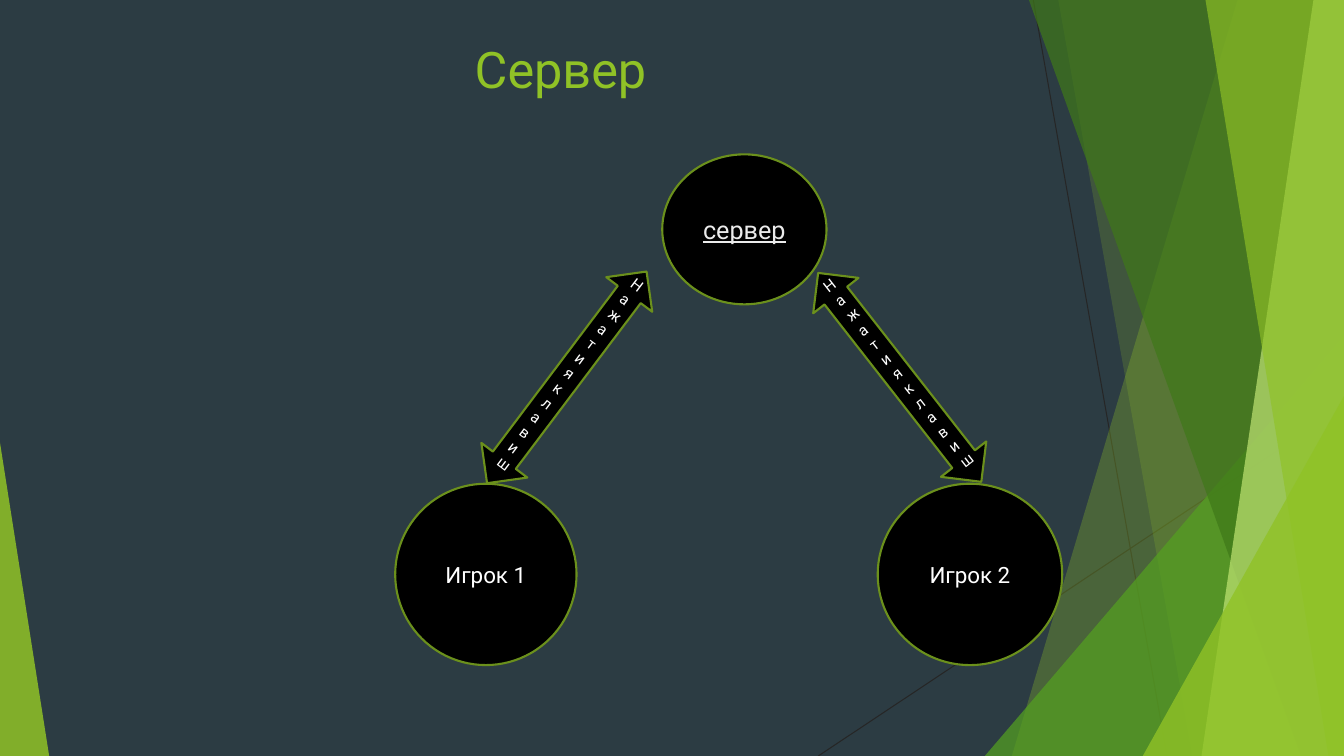
from dataclasses import dataclass
from lxml.etree import SubElement
from pptx import Presentation
from pptx.dml.color import RGBColor
from pptx.enum.shapes import MSO_CONNECTOR, MSO_SHAPE
from pptx.enum.text import MSO_ANCHOR, MSO_AUTO_SIZE, PP_ALIGN
from pptx.oxml.ns import qn
from pptx.util import Cm, Pt

W, H = 33.87, 19.05


@dataclass(frozen=True)
class Theme:
    font: str = "Roboto"
    back: str = "2C3C43"
    accent: str = "90C226"
    leaf: str = "54A021"
    forest: str = "3F7819"
    lime: str = "C0E474"
    edge: str = "6B901C"
    node: str = "000000"
    thread: str = "262626"
    text: str = "FFFFFF"
    soft: str = "EBEBEB"
    title_pt: int = 36
    server_pt: int = 18
    player_pt: int = 16
    arrow_pt: int = 11


T = Theme()

TITLE = ("Сервер", (11.71, 0.74, 4.9, 1.96))
THREADS = [((26.04, 0), (29.41, H)), ((W, 10.24), (20.62, H))]
BACK_BANDS = [(31.19, 25.5, T.accent, 30), (26.67, 30.05, T.accent, 20)]
FRONT_BANDS = [
    (25.93, 32.79, T.forest, 70),
    (33.1, 30.28, T.lime, 70),
    (30.38, 33.48, T.accent, 65),
]
BACK_WEDGE = (24.82, 8.46, W, 1, T.leaf, 72)
FRONT_WEDGES = [(28.8, 9.98, W, 1, T.accent, 80), (0, 11.15, 1.24, 0, T.accent, 85)]
CIRCLES = [
    ("сервер", (16.69, 3.89, 4.14, 3.78), T.server_pt, T.soft, True),
    ("Игрок 2", (22.12, 12.19, 4.65, 4.57), T.player_pt, T.text, False),
    ("Игрок 1", (9.96, 12.19, 4.57, 4.57), T.player_pt, T.text, False),
]
KEYS = "Нажатияклавиш"
ARROWS = [(21.95, 322), (13.56, 37)]
ARROW_TOP, ARROW_W, ARROW_H = 6.17, 1.45, 6.68


def rgb(color):
    return RGBColor.from_string(color)


def cms(values):
    return [Cm(v) for v in values]


def paint(sp, color, opacity=100):
    sp.shadow.inherit = False
    sp.fill.solid()
    sp.fill.fore_color.rgb = rgb(color)
    if opacity < 100:
        clr = sp.fill._xPr.find(qn("a:solidFill"))[0]
        SubElement(clr, qn("a:alpha"), val=str(opacity * 1000))


def write(sp, text, size, color, align=PP_ALIGN.CENTER, underline=None):
    tf = sp.text_frame
    tf.word_wrap = True
    tf.auto_size = MSO_AUTO_SIZE.NONE
    tf.vertical_anchor = MSO_ANCHOR.MIDDLE
    p = tf.paragraphs[0]
    p.text = text
    p.alignment = align
    p.font.name = T.font
    p.font.size = Pt(size)
    p.font.color.rgb = rgb(color)
    p.font.underline = underline
    return tf


def add_thread(s, start, end):
    line = s.shapes.add_connector(MSO_CONNECTOR.STRAIGHT, *cms(start + end))
    line.line.color.rgb = rgb(T.thread)
    line.line.width = Pt(0.75)
    SubElement(line._element.spPr, qn("a:effectLst"))


def add_band(s, top_x, bottom_x, color, opacity):
    fb = s.shapes.build_freeform(Cm(top_x), 0)
    corners = [(W, 0), (W, H), (bottom_x, H)]
    fb.add_line_segments([cms(c) for c in corners], close=True)
    sp = fb.convert_to_shape()
    paint(sp, color, opacity)
    sp.line.fill.background()


def add_wedge(s, left, top, right, apex, color, opacity):
    box = cms((left, top, right - left, H - top))
    sp = s.shapes.add_shape(MSO_SHAPE.ISOSCELES_TRIANGLE, *box)
    sp.adjustments[0] = apex
    paint(sp, color, opacity)
    sp.line.fill.background()


def add_node(s, kind, box):
    sp = s.shapes.add_shape(kind, *cms(box))
    paint(sp, T.node)
    sp.line.color.rgb = rgb(T.edge)
    sp.line.width = Pt(1.5)
    return sp


def main():
    prs = Presentation()
    prs.slide_width, prs.slide_height = cms((W, H))
    s = prs.slides.add_slide(prs.slide_layouts[5])
    s.background.fill.solid()
    s.background.fill.fore_color.rgb = rgb(T.back)

    for thread in THREADS:
        add_thread(s, *thread)
    for band in BACK_BANDS:
        add_band(s, *band)
    add_wedge(s, *BACK_WEDGE)
    for band in FRONT_BANDS:
        add_band(s, *band)
    for wedge in FRONT_WEDGES:
        add_wedge(s, *wedge)

    for text, box, size, color, underline in CIRCLES:
        sp = add_node(s, MSO_SHAPE.OVAL, box)
        write(sp, text, size, color, underline=underline)

    for left, angle in ARROWS:
        sp = add_node(s, MSO_SHAPE.UP_DOWN_ARROW, (left, ARROW_TOP, ARROW_W, ARROW_H))
        sp.rotation = angle
        tf = write(sp, KEYS, T.arrow_pt, T.text)
        tf.margin_bottom = Cm(0.38)

    text, box = TITLE
    title = s.shapes.title
    title.left, title.top, title.width, title.height = cms(box)
    write(title, text, T.title_pt, T.accent, PP_ALIGN.LEFT)

    prs.save("out.pptx")


if __name__ == "__main__":
    main()
